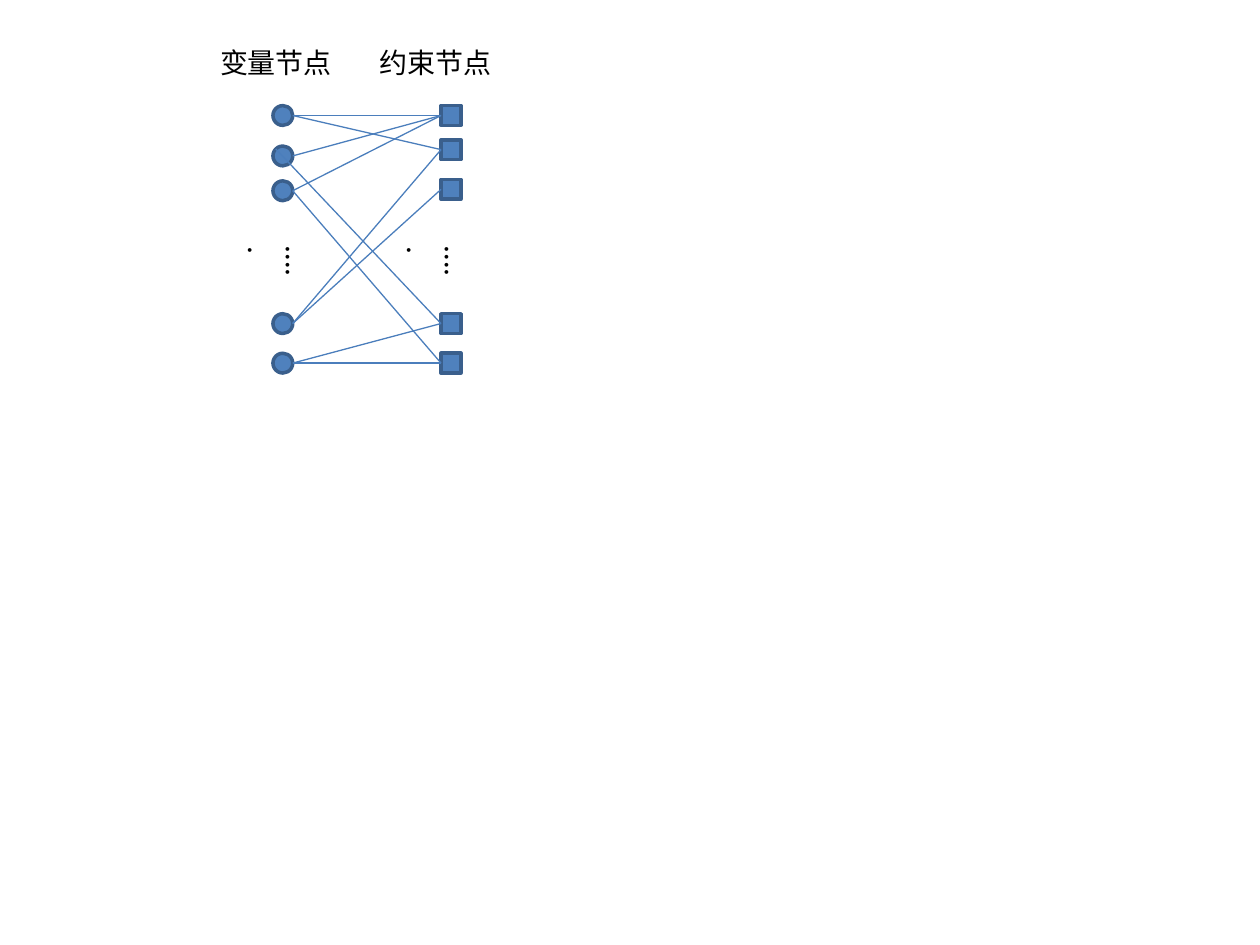
from dataclasses import dataclass

from lxml import etree
from pptx import Presentation
from pptx.dml.color import RGBColor
from pptx.enum import shapes, text
from pptx.oxml.ns import qn
from pptx.util import Pt


@dataclass(frozen=True)
class Theme:
    fill: RGBColor = RGBColor(0x4F, 0x81, 0xBD)
    outline: RGBColor = RGBColor(0x3A, 0x5F, 0x8C)
    edge: RGBColor = RGBColor(0x4B, 0x7E, 0xBC)
    ink: RGBColor = RGBColor(0, 0, 0)
    font: str = "Calibri"
    heading_size: float = 16
    dots_size: float = 18


THEME = Theme()
NODE = 11.3
VARIABLE_X, CONSTRAINT_X = 161.6, 257.7
VARIABLE_YS = [66, 89.1, 109, 184.9, 207.5]
CONSTRAINT_YS = [66, 85.5, 108.2, 184.9, 207.5]
# (variable, constraint) pairs, numbered from the top
EDGES = [(0, 0), (0, 1), (1, 0), (1, 3), (2, 0),
         (2, 4), (3, 2), (3, 1), (4, 3), (4, 4)]
DIAGONAL_EDGE = (1, 3)  # leaves from the circle's upper left


def add_node(slide, kind, x, y):
    """Add a node centred on (x, y)."""
    sp = slide.shapes.add_shape(kind, Pt(x - NODE / 2), Pt(y - NODE / 2),
                                Pt(NODE), Pt(NODE))
    sp.shadow.inherit = False
    sp.fill.solid()
    sp.fill.fore_color.rgb = THEME.fill
    sp.line.color.rgb = THEME.outline
    sp.line.width = Pt(2)
    return sp


def add_edge(slide, start, constraint):
    x, y = start
    line = slide.shapes.add_connector(shapes.MSO_CONNECTOR.STRAIGHT,
                                      Pt(x), Pt(y), Pt(x), Pt(y))
    line.end_connect(constraint, 1)
    line.line.color.rgb = THEME.edge
    line.line.width = Pt(0.75)
    etree.SubElement(line._element.spPr, qn("a:effectLst"))


def add_label(slide, content, size, left, top, width, height, vertical=False):
    box = slide.shapes.add_textbox(Pt(left), Pt(top), Pt(width), Pt(height))
    tf = box.text_frame
    tf.word_wrap = True
    tf.auto_size = text.MSO_AUTO_SIZE.SHAPE_TO_FIT_TEXT
    if vertical:
        tf._txBody.bodyPr.set("vert", "eaVert")
    p = tf.paragraphs[0]
    p.text = content
    p.font.name = THEME.font
    p.font.size = Pt(size)
    p.font.color.rgb = THEME.ink


def edge_start(variable, constraint):
    y = VARIABLE_YS[variable]
    if (variable, constraint) == DIAGONAL_EDGE:
        return VARIABLE_X - 4, y - 4
    return VARIABLE_X + NODE / 2, y


def main():
    prs = Presentation()
    prs.slide_width, prs.slide_height = Pt(720), Pt(540)
    s = prs.slides.add_slide(prs.slide_layouts[6])

    for y in VARIABLE_YS:
        add_node(s, shapes.MSO_SHAPE.OVAL, VARIABLE_X, y)
    constraints = [add_node(s, shapes.MSO_SHAPE.RECTANGLE, CONSTRAINT_X, y)
                   for y in CONSTRAINT_YS]
    for variable, constraint in EDGES:
        add_edge(s, edge_start(variable, constraint), constraints[constraint])

    for heading, heading_x, dots_x in [("变量节点", 118.7, 149),
                                       ("约束节点", 209.7, 239.8)]:
        add_label(s, heading, THEME.heading_size, heading_x, 22.3, 91.4, 26.6)
        add_label(s, "…..", THEME.dots_size, dots_x, 133.9, 36, 33.8,
                  vertical=True)

    prs.save("out.pptx")


if __name__ == "__main__":
    main()
